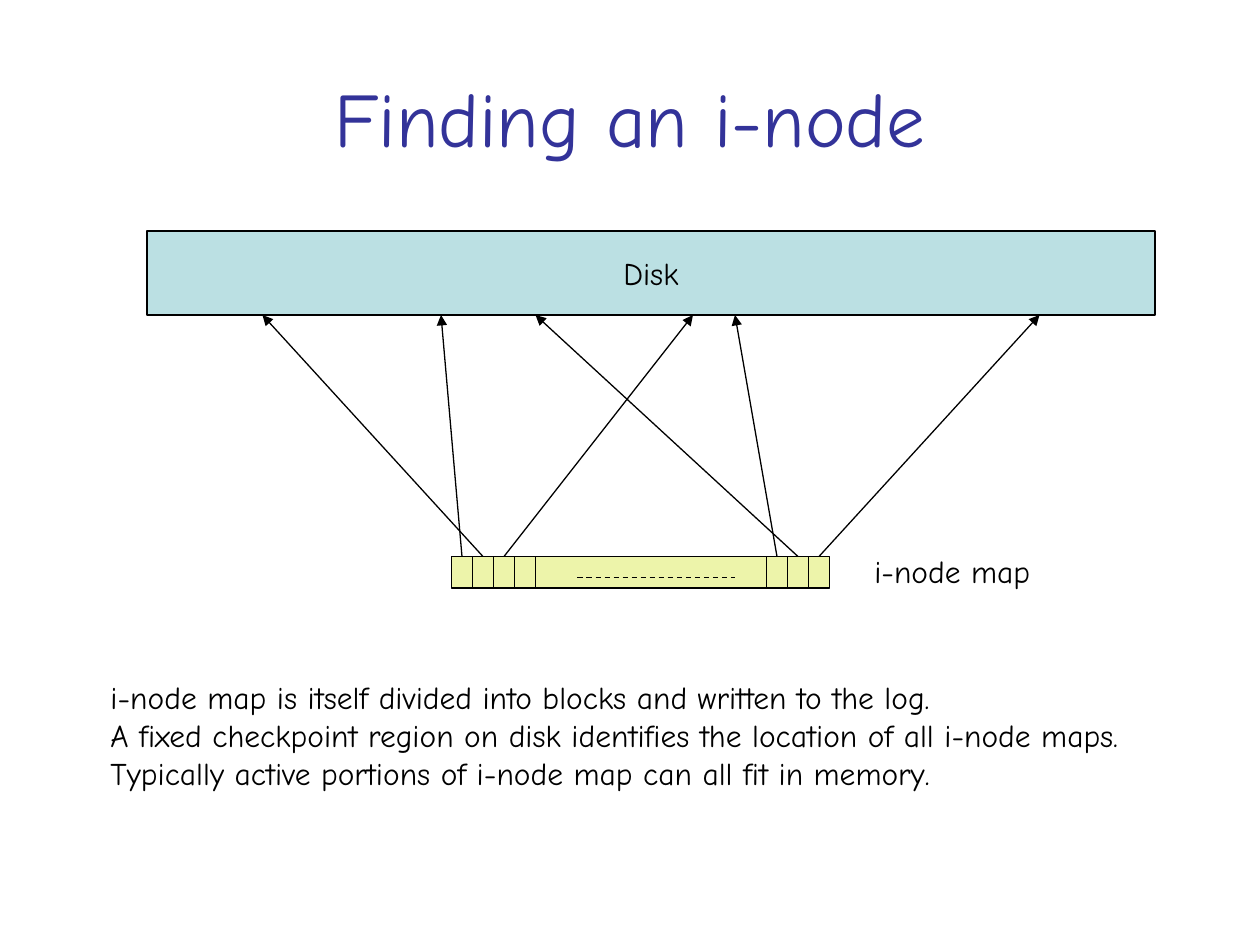
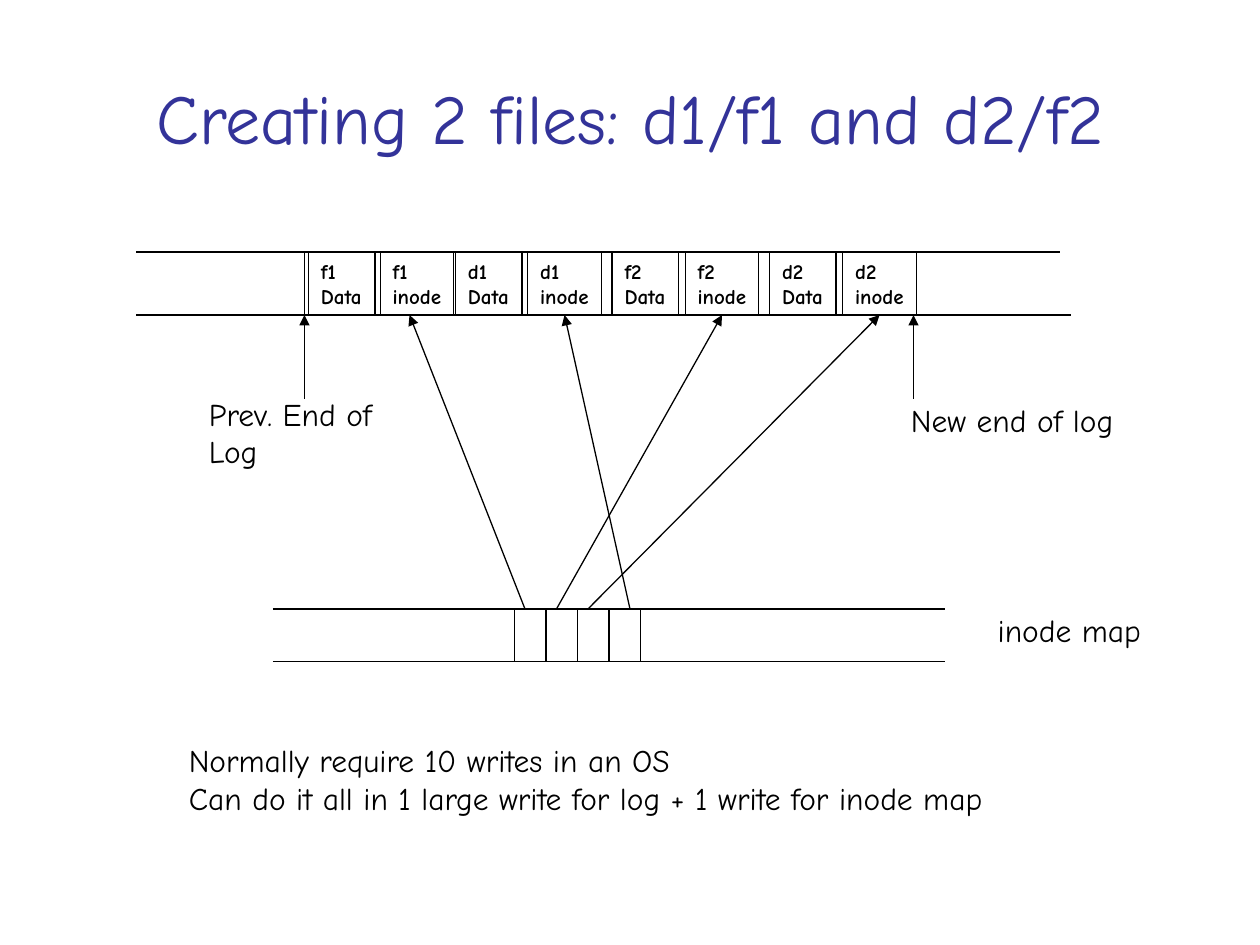
"""Two slides on how a log-structured file system locates its i-nodes."""
from dataclasses import dataclass

from lxml import etree
from pptx import Presentation
from pptx.dml.color import RGBColor
from pptx.enum import dml, shapes, text
from pptx.oxml import ns
from pptx.util import Pt


@dataclass(frozen=True)
class Theme:
    """Colours, font and type sizes of the deck."""
    font: str = "Comic Neue"
    title: str = "333399"
    ink: str = "000000"
    disk: str = "BBE0E3"
    imap: str = "EDF4AA"
    title_pt: float = 44
    long_title_pt: float = 40
    body_pt: float = 18
    block_pt: float = 12
    line_pt: float = 0.75


@dataclass(frozen=True)
class Box:
    """A rectangle in points."""
    left: float
    top: float
    width: float
    height: float

    @property
    def mid(self) -> float:
        """Return the horizontal centre."""
        return self.left + self.width / 2

    @property
    def bottom(self) -> float:
        """Return the lower edge."""
        return self.top + self.height

    def lengths(self) -> list:
        """Return the four lengths for python-pptx."""
        return [Pt(v) for v in (self.left, self.top, self.width, self.height)]


@dataclass(frozen=True)
class Block:
    """A block written to the log."""
    left: float
    owner: str
    kind: str


@dataclass(frozen=True)
class Pointer:
    """An arrow from a map entry up to a place on disk."""
    start: float
    end: float


THEME = Theme()
TITLE_BOX = Box(36, 21.6, 648, 90)
BLOCK_WIDTH = {"Data": 38, "inode": 42}
JOIN_REACH = 2

DISK = Box(84, 132, 576, 48)
IMAP = Box(258, 318, 216, 18)
CELL = 12
MAP_POINTERS = [
    Pointer(264, 252), Pointer(276, 150), Pointer(288, 396),
    Pointer(444, 420), Pointer(468, 594), Pointer(456, 306),
]

LOG_TOP, LOG_BOTTOM = 144, 180
LOG_START, LOG_END = 174, 522
BLOCKS = [
    Block(176.3, "f1", "Data"), Block(217.3, "f1", "inode"),
    Block(260.3, "d1", "Data"), Block(301.6, "d1", "inode"),
    Block(349.8, "f2", "Data"), Block(391.6, "f2", "inode"),
    Block(439.8, "d2", "Data"), Block(481.6, "d2", "inode"),
]
TRACK_TOP, TRACK_BOTTOM = 348, 378
LOG_POINTERS = [
    Pointer(300, 234), Pointer(318, 414), Pointer(360, 324), Pointer(336, 504),
]


def write(tf, content: str, *, size: float = THEME.body_pt, color: str = THEME.ink,
          bold: bool = False, align=text.PP_ALIGN.LEFT,
          anchor=text.MSO_ANCHOR.TOP, wrap: bool = False, grow: bool = False) -> None:
    """Fill a text frame, one paragraph per line of content."""
    tf.word_wrap = wrap
    tf.vertical_anchor = anchor
    tf.auto_size = (text.MSO_AUTO_SIZE.SHAPE_TO_FIT_TEXT if grow
                    else text.MSO_AUTO_SIZE.NONE)
    for i, line in enumerate(content.split("\n")):
        p = tf.add_paragraph() if i else tf.paragraphs[0]
        p.alignment = align
        r = p.add_run()
        r.text = line
        r.font.name = THEME.font
        r.font.size = Pt(size)
        r.font.bold = bold
        r.font.color.rgb = RGBColor.from_string(color)


def add_slide(prs, title: str, size: float):
    """Add a title-only slide with the deck's title style."""
    s = prs.slides.add_slide(prs.slide_layouts[5])
    sp = s.shapes.title
    sp.left, sp.top, sp.width, sp.height = TITLE_BOX.lengths()
    write(sp.text_frame, title, size=size, color=THEME.title,
          align=text.PP_ALIGN.CENTER, anchor=text.MSO_ANCHOR.MIDDLE, wrap=True)
    return s


def add_label(s, box: Box, content: str) -> None:
    """Add body text in a text box."""
    sp = s.shapes.add_textbox(*box.lengths())
    write(sp.text_frame, content, grow=True)


def set_stroke(line) -> None:
    """Give a line the deck's stroke."""
    line.color.rgb = RGBColor.from_string(THEME.ink)
    line.width = Pt(THEME.line_pt)


def add_rect(s, box: Box, fill: str = ""):
    """Add an outlined rectangle, unfilled unless a colour is given."""
    sp = s.shapes.add_shape(shapes.MSO_SHAPE.RECTANGLE, *box.lengths())
    sp.shadow.inherit = False
    if fill:
        sp.fill.solid()
        sp.fill.fore_color.rgb = RGBColor.from_string(fill)
    else:
        sp.fill.background()
    set_stroke(sp.line)
    return sp


def add_line(s, x1: float, y1: float, x2: float, y2: float, *,
             arrow: bool = False, dashed: bool = False):
    """Add a straight line, with an arrowhead at its end if asked."""
    c = s.shapes.add_connector(shapes.MSO_CONNECTOR.STRAIGHT,
                               Pt(x1), Pt(y1), Pt(x2), Pt(y2))
    set_stroke(c.line)
    if dashed:
        c.line.dash_style = dml.MSO_LINE.DASH
    if arrow:
        ln = c.line._get_or_add_ln()
        etree.SubElement(ln, ns.qn("a:tailEnd"), type="triangle")
    etree.SubElement(c._element.spPr, ns.qn("a:effectLst"))
    return c


def build_finding(prs) -> None:
    """Draw the i-node map pointing into the disk."""
    s = add_slide(prs, "Finding an i-node", THEME.title_pt)
    sp = add_rect(s, DISK, THEME.disk)
    write(sp.text_frame, "Disk", align=text.PP_ALIGN.CENTER,
          anchor=text.MSO_ANCHOR.MIDDLE)
    add_rect(s, IMAP, THEME.imap)
    right = IMAP.left + IMAP.width
    dividers = [IMAP.left + CELL * i for i in range(1, 5)]
    dividers += [right - CELL * i for i in range(1, 4)]
    for x in dividers:
        add_line(s, x, IMAP.top, x, IMAP.bottom)
    add_line(s, 330, 330, 420, 330, dashed=True)
    for ptr in MAP_POINTERS:
        add_line(s, ptr.start, IMAP.top, ptr.end, DISK.bottom, arrow=True)
    add_label(s, Box(492.5, 312, 103.5, 29), "i-node map")
    add_label(s, Box(56, 384, 591, 72),
              "i-node map is itself divided into blocks and written to the log.\n"
              "A fixed checkpoint region on disk identifies the location of all i-node maps.\n"
              "Typically active portions of i-node map can all fit in memory.")


def build_creating(prs) -> None:
    """Draw the log after creating two files, and the inode map."""
    s = add_slide(prs, "Creating 2 files: d1/f1 and d2/f2", THEME.long_title_pt)
    add_line(s, 78, LOG_TOP, 606, LOG_TOP)
    add_line(s, 78, LOG_BOTTOM, 612, LOG_BOTTOM)
    add_line(s, LOG_START, LOG_TOP, LOG_START, LOG_BOTTOM)
    drawn = []
    for b in BLOCKS:
        box = Box(b.left, LOG_TOP, BLOCK_WIDTH[b.kind], LOG_BOTTOM - LOG_TOP)
        sp = add_rect(s, box)
        write(sp.text_frame, f"{b.owner}\n{b.kind}", size=THEME.block_pt,
              bold=True, grow=True)
        drawn.append((box, sp))
    for x in (LOG_START, LOG_END):
        add_line(s, x, 228, x, LOG_BOTTOM, arrow=True)
    add_label(s, Box(112.3, 222, 108, 50), "Prev. End of\nLog")
    add_label(s, Box(513.4, 225.4, 132, 29), "New end of log")
    for y in (TRACK_TOP, TRACK_BOTTOM):
        add_line(s, 156, y, 540, y)
    for x in range(294, 367, 18):
        add_line(s, x, TRACK_TOP, x, TRACK_BOTTOM)
    for ptr in LOG_POINTERS:
        c = add_line(s, ptr.start, TRACK_TOP, ptr.end, LOG_BOTTOM, arrow=True)
        for box, sp in drawn:
            if abs(box.mid - ptr.end) < JOIN_REACH:
                c.end_connect(sp, 2)
    add_label(s, Box(100.8, 420, 470, 50),
              "Normally require 10 writes in an OS\n"
              "Can do it all in 1 large write for log + 1 write for inode map")
    add_label(s, Box(563, 345.6, 96, 29), "inode map")


def main() -> None:
    """Build and save the deck."""
    prs = Presentation()
    prs.slide_width, prs.slide_height = Pt(720), Pt(540)
    build_finding(prs)
    build_creating(prs)
    prs.save("out.pptx")


if __name__ == "__main__":
    main()
